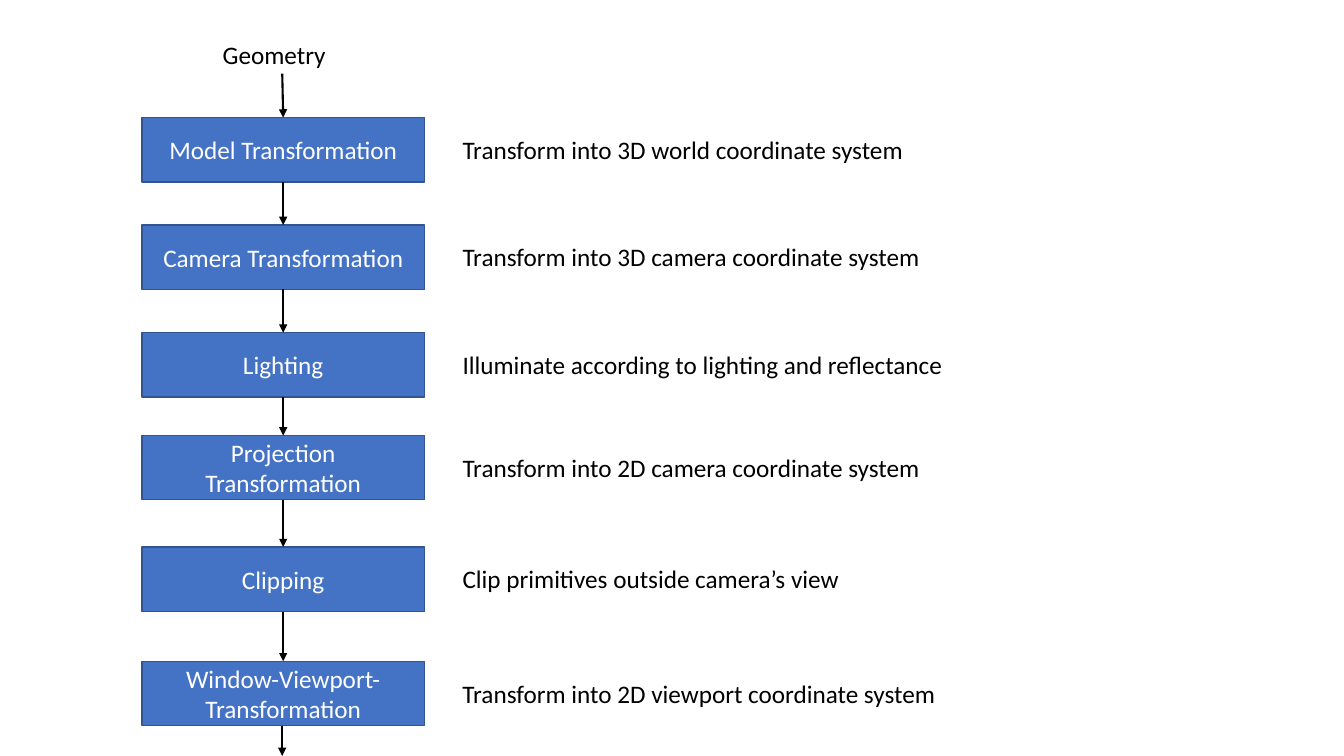
from itertools import pairwise

from lxml import etree
from pptx import Presentation
from pptx.dml.color import RGBColor
from pptx.enum.shapes import MSO_CONNECTOR as Connector, MSO_SHAPE as Shape
from pptx.enum.text import MSO_ANCHOR as Anchor, MSO_AUTO_SIZE as AutoSize, PP_ALIGN as Align
from pptx.oxml.ns import qn
from pptx.util import Pt

BLUE = RGBColor(0x44, 0x72, 0xC4)
DARK_BLUE = RGBColor(0x32, 0x54, 0x91)
BLACK = RGBColor(0, 0, 0)
WHITE = RGBColor(0xFF, 0xFF, 0xFF)

SLIDE_W, SLIDE_H = 960, 540
STAGE_X, STAGE_W, STAGE_H = 101.5, 201.6, 46
STAGE_MID = STAGE_X + STAGE_W / 2
ENTRY_X = STAGE_MID - 0.7
NOTE_X, NOTE_DROP, LABEL_H = 323.3, 8.2, 29.1

# name, top, explanation, width of explanation
STAGES = [
    ("Model Transformation", 84, "Transform into 3D world coordinate system", 332.6),
    ("Camera Transformation", 160.7, "Transform into 3D camera coordinate system", 344.9),
    ("Lighting", 237.6, "Illuminate according to lighting and reflectance", 361.4),
    ("Projection Transformation", 311, "Transform into 2D camera coordinate system", 344.9),
    ("Clipping", 390.8, "Clip primitives outside camera’s view", 286.6),
    ("Window-Viewport- Transformation", 472.4, "Transform into 2D viewport coordinate system", 355.7),
]


class PipelineSlide:
    FONT = {"name": "Calibri", "size": Pt(18)}
    STAGE_FRAME = {"word_wrap": True, "vertical_anchor": Anchor.MIDDLE}

    def __init__(self, slide):
        self.shapes = slide.shapes

    def put_text(self, frame, text, color, align, frame_format):
        for name, value in frame_format.items():
            setattr(frame, name, value)
        paragraph = frame.paragraphs[0]
        paragraph.alignment = align
        words = paragraph.add_run()
        words.text = text
        for name, value in self.FONT.items():
            setattr(words.font, name, value)
        words.font.color.rgb = color

    def stage(self, name, top):
        box = self.shapes.add_shape(
            Shape.RECTANGLE, Pt(STAGE_X), Pt(top), Pt(STAGE_W), Pt(STAGE_H))
        box.shadow.inherit = False
        box.fill.solid()
        box.fill.fore_color.rgb = BLUE
        box.line.color.rgb = DARK_BLUE
        box.line.width = Pt(1)
        self.put_text(box.text_frame, name, WHITE, Align.CENTER, self.STAGE_FRAME)

    def label(self, text, left, top, width, wrap=False):
        box = self.shapes.add_textbox(Pt(left), Pt(top), Pt(width), Pt(LABEL_H))
        label_frame = {"word_wrap": wrap, "auto_size": AutoSize.SHAPE_TO_FIT_TEXT}
        self.put_text(box.text_frame, text, BLACK, Align.LEFT, label_frame)

    def arrow(self, start_x, start_y, end_x, end_y):
        flow = self.shapes.add_connector(
            Connector.STRAIGHT, Pt(start_x), Pt(start_y), Pt(end_x), Pt(end_y))
        flow.line.color.rgb = BLACK
        flow.line.width = Pt(1.5)
        properties = flow._element.spPr
        etree.SubElement(properties.find(qn("a:ln")), qn("a:tailEnd"), type="triangle")
        etree.SubElement(properties, qn("a:effectLst"))


def main():
    deck = Presentation()
    deck.slide_width, deck.slide_height = Pt(SLIDE_W), Pt(SLIDE_H)
    pipeline = PipelineSlide(deck.slides.add_slide(deck.slide_layouts[6]))

    for name, top, explanation, width in STAGES:
        pipeline.stage(name, top)
        pipeline.label(explanation, NOTE_X, top + NOTE_DROP, width)
    pipeline.label("Geometry", 152, 24.8, 101, wrap=True)

    tops = [top for _, top, _, _ in STAGES]
    pipeline.arrow(ENTRY_X, 52.6, STAGE_MID, tops[0])
    for upper, lower in pairwise(tops):
        pipeline.arrow(STAGE_MID, upper + STAGE_H, STAGE_MID, lower)
    pipeline.arrow(ENTRY_X, tops[-1] + STAGE_H, ENTRY_X, SLIDE_H)

    deck.save("out.pptx")


if __name__ == "__main__":
    main()
